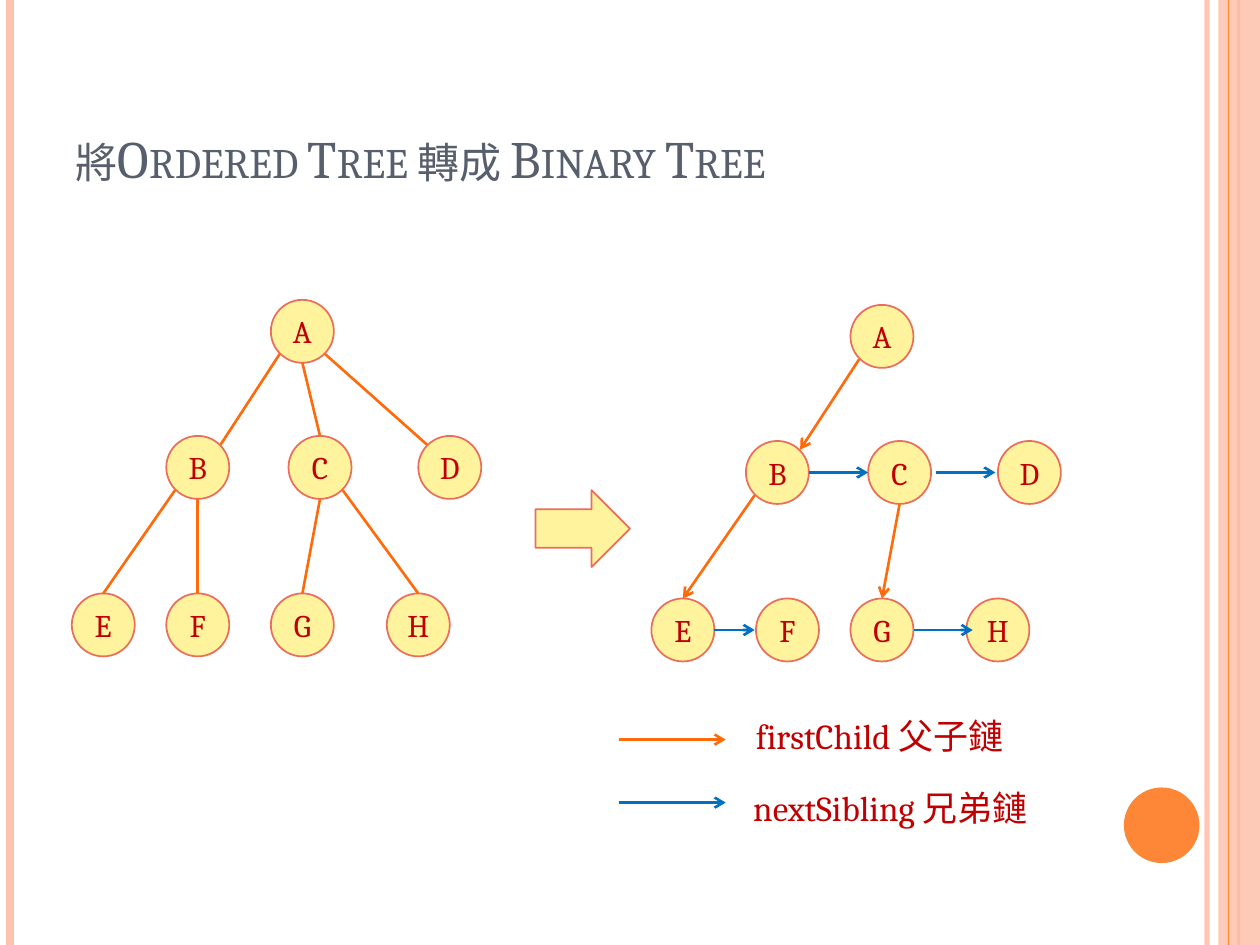
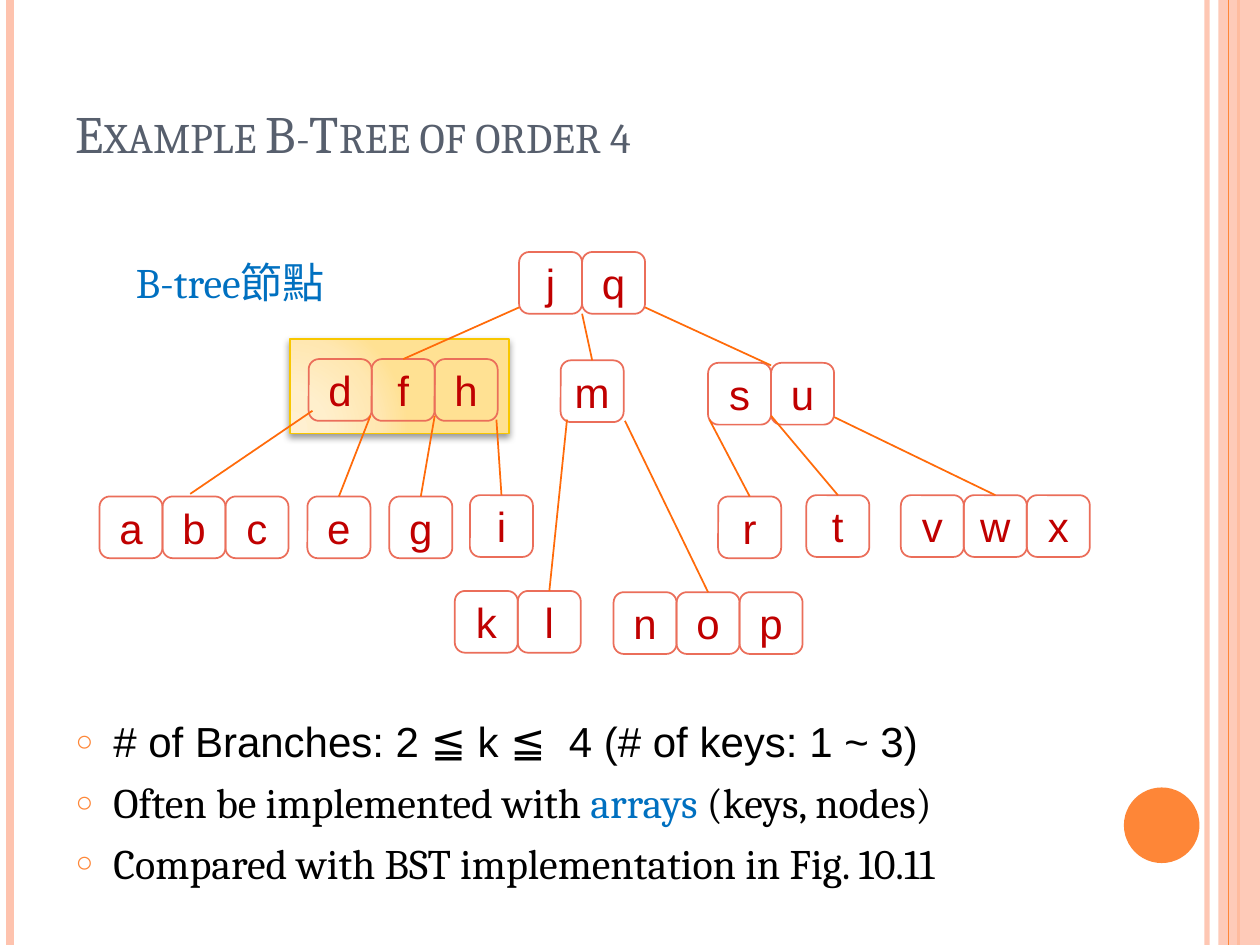
from pptx import Presentation
from pptx.dml.color import RGBColor
from pptx.enum.shapes import MSO_CONNECTOR, MSO_SHAPE
from pptx.enum.text import MSO_ANCHOR, MSO_AUTO_SIZE, PP_ALIGN
from pptx.oxml import parse_xml
from pptx.oxml.ns import nsdecls, qn
from pptx.util import Inches, Pt

STRAIGHT = MSO_CONNECTOR.STRAIGHT
OVAL, RECT = MSO_SHAPE.OVAL, MSO_SHAPE.RECTANGLE
ROUNDED, RIGHT_ARROW = MSO_SHAPE.ROUNDED_RECTANGLE, MSO_SHAPE.RIGHT_ARROW
MIDDLE, BOTTOM = MSO_ANCHOR.MIDDLE, MSO_ANCHOR.BOTTOM
NO_FIT, GROW = MSO_AUTO_SIZE.NONE, MSO_AUTO_SIZE.SHAPE_TO_FIT_TEXT
LEFT, CENTER = PP_ALIGN.LEFT, PP_ALIGN.CENTER

PEACH = RGBColor(0xFE, 0xC3, 0xAE)
ORANGE = RGBColor(0xFE, 0x86, 0x37)
SLATE = RGBColor(0x57, 0x5F, 0x6D)
YELLOW = RGBColor(0xFF, 0xF3, 0x9D)
CORAL = RGBColor(0xEB, 0x6E, 0x5A)
GOLD = RGBColor(0xF8, 0xC7, 0x00)
EDGE = RGBColor(0xFF, 0x6B, 0x0A)
BLUE = RGBColor(0x00, 0x70, 0xC0)
RED = RGBColor(0xC0, 0x00, 0x00)
BLACK = RGBColor(0, 0, 0)
SERIF, SANS = "Cambria", "Arial"


def draw_line(shapes, start, end, color, width, arrow=False):
    line = shapes.add_connector(STRAIGHT, *map(Inches, (*start, *end)))
    line.line.color.rgb = color
    line.line.width = Pt(width)
    properties = line.element.spPr
    if arrow:
        properties.find(qn("a:ln")).append(
            parse_xml(f'<a:tailEnd {nsdecls("a")} type="arrow"/>'))
    properties.append(parse_xml(f'<a:effectLst {nsdecls("a")}/>'))
    return line


def draw_shape(shapes, kind, box, fill=None, outline=None, label="", font=SERIF, size=18):
    shape = shapes.add_shape(kind, *map(Inches, box))
    shape.shadow.inherit = False
    if fill:
        shape.fill.solid()
        shape.fill.fore_color.rgb = fill
    else:
        shape.fill.background()
    if outline:
        shape.line.color.rgb = outline
        shape.line.width = Pt(1)
    else:
        shape.line.fill.background()
    if label:
        frame = shape.text_frame
        frame.margin_left = frame.margin_right = frame.margin_top = frame.margin_bottom = 0
        frame.vertical_anchor = MIDDLE
        paragraph = frame.paragraphs[0]
        paragraph.alignment = CENTER
        run = paragraph.add_run()
        run.text = label
        for name, value in {"name": font, "size": Pt(size)}.items():
            setattr(run.font, name, value)
        run.font.color.rgb = RED
    return shape


prs = Presentation()
prs.slide_width, prs.slide_height = Inches(10), Inches(7.5)
ordered = prs.slides.add_slide(prs.slide_layouts[5])
btree = prs.slides.add_slide(prs.slide_layouts[1])

# Shared bands and disc, moved to the master
bands = [
    draw_line(ordered.shapes, (x, 0), (x, 7.5), color, width)
    for x, color, width in [(9.58, PEACH, 3), (0.08, PEACH, 4.5), (9.83, ORANGE, 1.5)]
]
side_band = draw_shape(ordered.shapes, RECT, (9.67, 0, 0.33, 7.5), PEACH)
thin_band = draw_line(ordered.shapes, (9.75, 0), (9.75, 7.5), ORANGE, 0.75)
disc = draw_shape(ordered.shapes, OVAL, (8.92, 6.25, 0.6, 0.6), ORANGE)
for band, percent in [(bands[0], 93), (side_band, 87)]:
    tint = next(band.element.spPr.iter(qn("a:srgbClr")))
    tint.append(parse_xml(f'<a:alpha {nsdecls("a")} val="{percent * 1000}"/>'))
for number, decoration in enumerate([*bands, side_band, thin_band, disc], 20):
    next(decoration.element.iter(qn("p:cNvPr"))).set("id", str(number))
    prs.slide_master.shapes.element.append(decoration.element)

# Titles
for slide, text, height in [
    (ordered, "將Ordered Tree 轉成 Binary Tree", 1.25),
    (btree, "Example B-Tree of order 4", 1.05),
]:
    title = slide.shapes.title
    title.left, title.top, title.width, title.height = map(Inches, (0.5, 0.3, 8.17, height))
    title.text_frame.auto_size = NO_FIT
    title.text_frame.vertical_anchor = BOTTOM
    heading = title.text_frame.paragraphs[0]
    heading.alignment = LEFT
    run = heading.add_run()
    run.text = text
    run.font.name, run.font.size = SERIF, Pt(30)
    run.font.color.rgb = SLATE
    run.font._element.set("cap", "small")

# Slide 1: ordered tree on the left, binary tree on the right
NODE = 0.5
SITES = {"top": (0.25, 0), "bottom": (0.25, 0.5), "upper left": (0.07, 0.07),
         "upper right": (0.43, 0.07), "lower left": (0.07, 0.43), "lower right": (0.43, 0.43)}
ordered_nodes = {"A": (2.15, 2.38), "B": (1.32, 3.46), "C": (2.29, 3.46), "D": (3.32, 3.46),
                 "E": (0.57, 4.71), "F": (1.32, 4.71), "G": (2.15, 4.71), "H": (3.07, 4.71)}
binary_nodes = {key: (x + 4.6, y + 0.04) for key, (x, y) in ordered_nodes.items()}
binary_nodes["F"] = (6, 4.75)
first_child = [("A", "lower left", "B", "upper right"), ("B", "lower left", "E", "top"),
               ("C", "bottom", "G", "top")]
other_children = [("A", "bottom", "C", "top"), ("A", "lower right", "D", "upper left"),
                  ("B", "bottom", "F", "top"), ("C", "lower right", "H", "top")]

for nodes, edges, arrow in [(ordered_nodes, first_child + other_children, False),
                            (binary_nodes, first_child, True)]:
    for key, (x, y) in nodes.items():
        draw_shape(ordered.shapes, OVAL, (x, y, NODE, NODE), YELLOW, CORAL, key)
    for parent, start, child, end in edges:
        ends = [(nodes[key][0] + SITES[site][0], nodes[key][1] + SITES[site][1])
                for key, site in [(parent, start), (child, end)]]
        draw_line(ordered.shapes, *ends, EDGE, 1.5, arrow)

# Sibling links, then the two legend arrows
for left, right, y, color in [
    (6.42, 6.89, 3.75, BLUE), (7.43, 7.9, 3.75, BLUE),
    (5.67, 5.99, 5, BLUE), (7.25, 7.72, 5, BLUE),
    (4.91, 5.76, 5.87, EDGE), (4.91, 5.76, 6.37, BLUE),
]:
    draw_line(ordered.shapes, (left, y), (right, y), color, 1.5, True)
draw_shape(ordered.shapes, RIGHT_ARROW, (4.25, 3.89, 0.75, 0.61), YELLOW, CORAL)

# Slide 2: highlighted node behind the tree
highlight = draw_shape(btree.shapes, RECT, (2.3, 2.69, 1.74, 0.75), YELLOW, GOLD)
stops = "".join(
    f'<a:gs pos="{percent * 1000}"><a:srgbClr val="{color}"/></a:gs>'
    for percent, color in [(0, "FFF0D1"), (30, "FFEFCC"), (75, "FFE7B1"), (100, "FFE193")])
highlight_properties = highlight.element.spPr
highlight_properties.replace(
    highlight_properties.find(qn("a:solidFill")),
    parse_xml(f'<a:gradFill {nsdecls("a")}><a:gsLst>{stops}</a:gsLst><a:path path="circle">'
              '<a:fillToRect l="5000" t="100000" r="120000" b="10000"/></a:path></a:gradFill>'))
highlight_properties.find(qn("a:effectLst")).append(parse_xml(
    f'<a:outerShdw {nsdecls("a")} blurRad="{Pt(4)}" dist="{Pt(2)}" dir="5400000" '
    'rotWithShape="0"><a:srgbClr val="000000"><a:alpha val="40000"/></a:srgbClr></a:outerShdw>'))

# B-tree nodes: one box per key
KEY_WIDTH, KEY_HEIGHT = 0.5, 0.49
for x, y, keys in [
    (4.12, 2, "jq"), (2.45, 2.85, "dfh"), (4.45, 2.86, "m"), (5.62, 2.88, "su"),
    (0.79, 3.94, "abc"), (2.44, 3.94, "e"), (3.09, 3.94, "g"), (3.73, 3.93, "i"),
    (3.61, 4.69, "kl"), (4.87, 4.7, "nop"),
    (5.7, 3.94, "r"), (6.4, 3.93, "t"), (7.15, 3.93, "vwx"),
]:
    for column, key in enumerate(keys):
        draw_shape(btree.shapes, ROUNDED, (x + column * KEY_WIDTH, y, KEY_WIDTH, KEY_HEIGHT),
                   None, CORAL, key, SANS, 24)

# Branches, grouped by parent node
for start, end in [
    ((4.12, 2.44), (3.2, 2.85)), ((4.62, 2.49), (4.7, 2.86)), ((5.12, 2.44), (6.12, 2.9)),
    ((2.48, 3.26), (1.51, 3.92)), ((2.94, 3.3), (2.69, 3.94)),
    ((3.45, 3.3), (3.34, 3.94)), ((3.94, 3.33), (3.98, 3.93)),
    ((4.5, 3.33), (4.36, 4.69)), ((4.96, 3.34), (5.62, 4.7)),
    ((5.63, 3.33), (5.95, 3.94)), ((6.12, 3.3), (6.65, 3.93)), ((6.62, 3.31), (7.9, 3.93)),
]:
    draw_line(btree.shapes, start, end, EDGE, 1)

# Legend texts and the node caption
for slide, box, text, size, color in [
    (ordered, (5.9, 5.62, 3.19, 0.44), "firstChild 父子鏈", 20, RED),
    (ordered, (5.88, 6.19, 3.2, 0.44), "nextSibling 兄弟鏈", 20, RED),
    (btree, (0.98, 1.99, 2.03, 0.5), "B-tree節點", 24, BLUE),
]:
    caption = slide.shapes.add_textbox(*map(Inches, box)).text_frame
    caption.word_wrap = True
    caption.auto_size = GROW
    run = caption.paragraphs[0].add_run()
    run.text = text
    run.font.name, run.font.size = SERIF, Pt(size)
    run.font.color.rgb = color

# Bulleted properties of the B-tree
facts = btree.placeholders[1]
facts.left, facts.top, facts.width, facts.height = map(Inches, (0.5, 5.63, 8.42, 1.45))
facts.text_frame.auto_size = NO_FIT
for index, runs in enumerate([
    [("# of Branches: 2 ≦ k ≦  4 (# of keys: 1 ~ 3)", SANS, BLACK)],
    [("Often be implemented with ", SERIF, BLACK), ("arrays ", SERIF, BLUE),
     ("(keys, nodes)", SERIF, BLACK)],
    [("Compared with BST implementation in Fig. 10.11", SERIF, BLACK)],
]):
    fact = facts.text_frame.add_paragraph() if index else facts.text_frame.paragraphs[0]
    fact.space_before = Pt(6)
    indents = fact._p.get_or_add_pPr()
    indents.set("marL", str(Inches(0.3)))
    indents.set("indent", str(-Inches(0.3)))
    for bullet in [f'<a:buClr {nsdecls("a")}><a:srgbClr val="{ORANGE}"/></a:buClr>',
                   f'<a:buSzPct {nsdecls("a")} val="70000"/>',
                   f'<a:buChar {nsdecls("a")} char="○"/>']:
        indents.append(parse_xml(bullet))
    for text, font, color in runs:
        run = fact.add_run()
        run.text = text
        run.font.name, run.font.size = font, Pt(24)
        run.font.color.rgb = color

prs.save("out.pptx")
